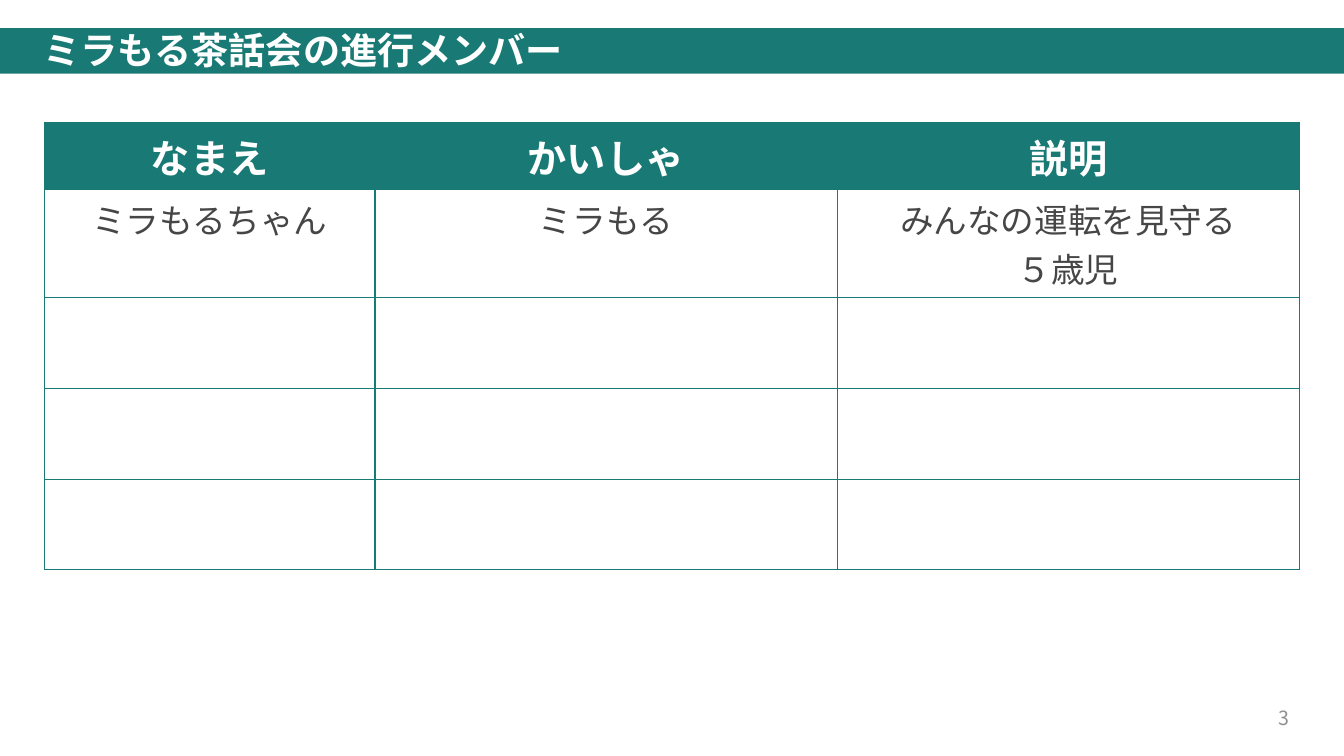
from dataclasses import dataclass

import pptx
import pptx.dml.color
import pptx.enum.shapes
import pptx.enum.text
import pptx.oxml
import pptx.oxml.ns
import pptx.util

Pt = pptx.util.Pt
Align = pptx.enum.text.PP_ALIGN
Anchor = pptx.enum.text.MSO_ANCHOR


@dataclass(frozen=True)
class TextStyle:
    size: float
    color: str
    bold: bool = False


@dataclass(frozen=True)
class Theme:
    font: str = "Noto Sans CJK JP"
    teal: str = "197A75"
    border_width: float = 1
    title: TextStyle = TextStyle(26.5, "FFFFFF", True)
    heading: TextStyle = TextStyle(28, "FFFFFF", True)
    body: TextStyle = TextStyle(24, "464646")
    page_number: TextStyle = TextStyle(14, "909090")


@dataclass(frozen=True)
class Box:
    left: float
    top: float
    width: float
    height: float

    def lengths(self) -> tuple[int, ...]:
        return tuple(Pt(n) for n in (self.left, self.top, self.width, self.height))


@dataclass(frozen=True)
class MemberRow:
    height: float
    cells: tuple[str, ...] = ("", "", "")


THEME = Theme()
PAGE_WIDTH, PAGE_HEIGHT = 960, 540
COLUMN_WIDTHS = (236.16, 330.12, 330.12)
MEMBERS = (
    MemberRow(47.8, ("なまえ", "かいしゃ", "説明")),
    MemberRow(77, ("ミラもるちゃん", "ミラもる", "みんなの運転を見守る\n５歳児")),
    *[MemberRow(64.8)] * 3,
)
TITLE_BAND = Box(0, 20.16, PAGE_WIDTH, 32.4)
MEMBER_TABLE = Box(
    31.68, 87.84, sum(COLUMN_WIDTHS), sum(member.height for member in MEMBERS)
)
PAGE_NUMBER = Box(870.48, 498.24, 57.6, 28.8)


def rgb(value: str) -> pptx.dml.color.RGBColor:
    return pptx.dml.color.RGBColor.from_string(value)


def write(frame, text: str, style: TextStyle, align: Align) -> None:
    for index, line in enumerate(text.split("\n")):
        paragraph = frame.add_paragraph() if index else frame.paragraphs[0]
        paragraph.alignment = align
        run = paragraph.add_run()
        run.text = line
        run.font.name = THEME.font
        run.font.size = Pt(style.size)
        run.font.bold = style.bold
        run.font.color.rgb = rgb(style.color)
        east_asian = pptx.oxml.parse_xml(
            f'<a:ea {pptx.oxml.ns.nsdecls("a")} typeface="{THEME.font}"/>'
        )
        run.font._element.find(pptx.oxml.ns.qn("a:latin")).addnext(east_asian)


def add_borders(cell) -> None:
    properties = cell._tc.get_or_add_tcPr()
    for index, side in enumerate("LRTB"):
        border = pptx.oxml.parse_xml(
            f'<a:ln{side} {pptx.oxml.ns.nsdecls("a")} w="{Pt(THEME.border_width)}">'
            f'<a:solidFill><a:srgbClr val="{THEME.teal}"/></a:solidFill>'
            f'</a:ln{side}>'
        )
        properties.insert(index, border)


def add_title(slide, text: str) -> None:
    band = slide.shapes.add_shape(
        pptx.enum.shapes.MSO_SHAPE.RECTANGLE, *TITLE_BAND.lengths()
    )
    band.shadow.inherit = False
    band.fill.solid()
    band.fill.fore_color.rgb = rgb(THEME.teal)
    band.line.fill.background()
    frame = band.text_frame
    frame.word_wrap = True
    frame.vertical_anchor = Anchor.MIDDLE
    frame.margin_left, frame.margin_right = Pt(30.96), Pt(7.2)
    frame.margin_top, frame.margin_bottom = Pt(6.4), Pt(3.6)
    write(frame, text, THEME.title, Align.LEFT)
    frame.paragraphs[0].line_spacing = 0.9


def add_members(slide) -> None:
    members = slide.shapes.add_table(
        len(MEMBERS), len(COLUMN_WIDTHS), *MEMBER_TABLE.lengths()
    ).table
    members.horz_banding = False
    for column, width in zip(members.columns, COLUMN_WIDTHS):
        column.width = Pt(width)
    for row_index, member in enumerate(MEMBERS):
        members.rows[row_index].height = Pt(member.height)
        is_heading = row_index == 0
        for column_index, text in enumerate(member.cells):
            cell = members.cell(row_index, column_index)
            if is_heading:
                cell.fill.solid()
                cell.fill.fore_color.rgb = rgb(THEME.teal)
            else:
                cell.fill.background()
            add_borders(cell)
            if text:
                style = THEME.heading if is_heading else THEME.body
                write(cell.text_frame, text, style, Align.CENTER)


def add_page_number(slide, number: int) -> None:
    frame = slide.shapes.add_textbox(*PAGE_NUMBER.lengths()).text_frame
    frame.word_wrap = True
    frame.vertical_anchor = Anchor.MIDDLE
    write(frame, str(number), THEME.page_number, Align.RIGHT)


def main() -> None:
    deck = pptx.Presentation()
    deck.slide_width, deck.slide_height = Pt(PAGE_WIDTH), Pt(PAGE_HEIGHT)
    slide = deck.slides.add_slide(deck.slide_layouts[6])
    add_page_number(slide, 3)
    add_title(slide, "ミラもる茶話会の進行メンバー")
    add_members(slide)
    deck.save("out.pptx")


if __name__ == "__main__":
    main()
